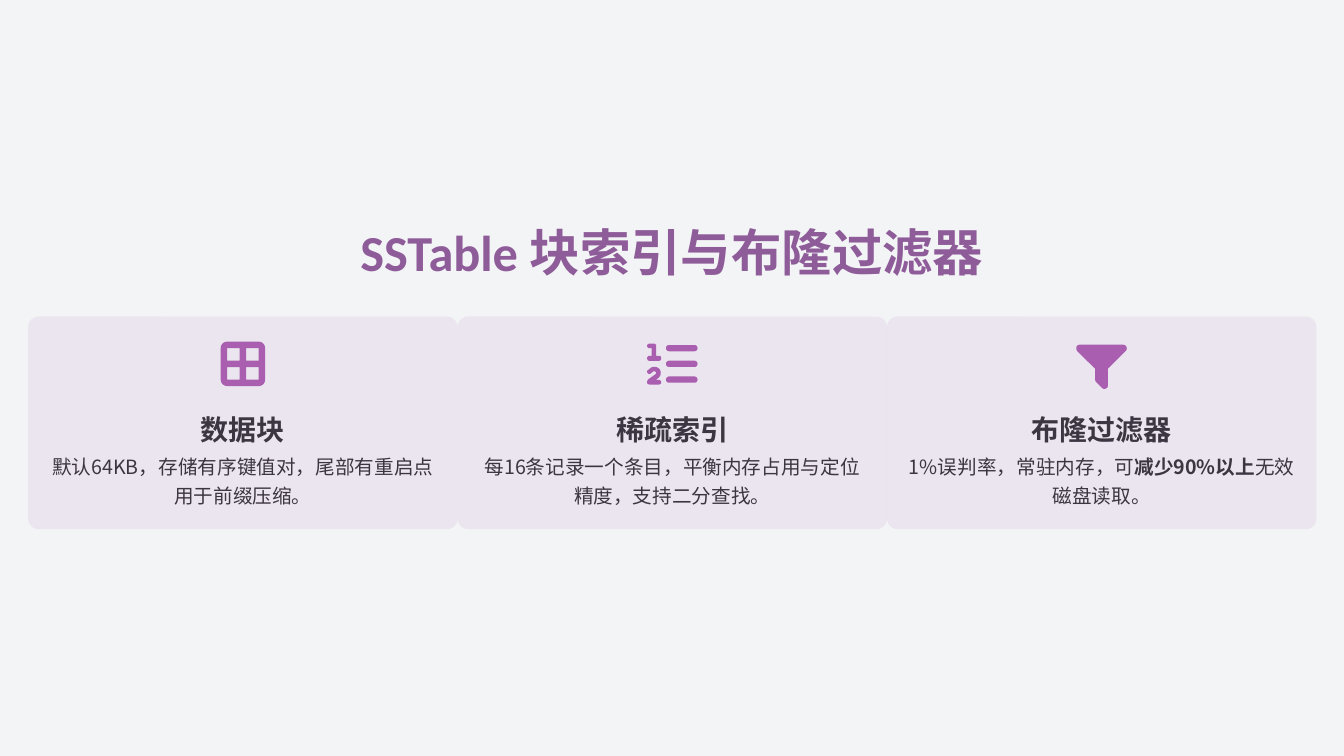
from pptx import Presentation
from pptx.dml.color import RGBColor as Rgb
from pptx.enum.shapes import MSO_SHAPE as Kind
from pptx.enum.text import MSO_ANCHOR as Anchor, PP_ALIGN as Align
from pptx.oxml.ns import qn
from pptx.util import Pt
from lxml.etree import SubElement as Sub

INK = {"back": "F3F4F6", "title": "8F5C9A", "card": "D3B9D7",
       "icon": "A95EAF", "text": "3C3542"}
SANS = "Noto Sans CJK SC"
LEFT, TOP, WIDE, HIGH = 20.16, 226.08, 306.72, 151.92
UNIT = 0.72


def bend(a, b, c, d, steps=8):
    for n in range(1, steps + 1):
        t = n / steps
        s = 1 - t
        yield tuple(s**3 * p + 3 * s * s * t * q + 3 * s * t * t * r + t**3 * e
                    for p, q, r, e in zip(a, b, c, d))


def trace(*steps):
    dots = []
    for step in steps:
        if len(step) == 2:
            dots.append(step)
        else:
            dots += bend(dots[-1], step[:2], step[2:4], step[4:])
    return dots


def pill(x, y, w, h, r):
    k = r * 0.45
    e, f = x + w, y + h
    return trace((x + r, y), (e - r, y), (e - k, y, e, y + k, e, y + r),
                 (e, f - r), (e, f - k, e - k, f, e - r, f),
                 (x + r, f), (x + k, f, x, f - k, x, f - r),
                 (x, y + r), (x, y + k, x + k, y, x + r, y))


def hole(x, y, size):
    return [(x, y), (x, y + size), (x + size, y + size), (x + size, y)]


ONE = trace((0, 7), (0, 6, 1, 5, 2, 5), (7, 5), (8, 5, 9, 6, 9, 7), (9, 17),
            (11.5, 17), (13, 17, 14, 18, 14, 19.5), (14, 21, 13, 22, 11.5, 22),
            (2.5, 22), (1, 22, 0, 21, 0, 19.5), (0, 18, 1, 17, 2.5, 17),
            (4.5, 17), (4.5, 9.5), (2.5, 9.5), (1, 9.5, 0, 8.5, 0, 7))
TWO = trace((3, 29.5), (4, 28.5, 5.5, 28, 6.5, 28), (7.5, 28),
            (11, 28, 13.5, 30.5, 13.5, 34), (13.5, 36, 12.5, 38, 10.5, 39.5),
            (8.5, 41), (11.5, 41), (13, 41, 14, 42, 14, 43),
            (14, 44.5, 13, 45.5, 11.5, 45.5), (2.5, 45.5),
            (1, 45.5, 0, 44.5, 0, 43.5), (0, 42, 0.5, 41, 1, 40.5), (8, 35.5),
            (8.5, 35, 9, 34.5, 9, 34), (9, 33, 8, 32.5, 7.5, 32.5),
            (6.5, 32.5), (6, 32.5, 5.5, 32.5, 5.5, 33), (3.5, 34.5),
            (2.5, 35.5, 1, 35, 0.5, 34), (-0.5, 33, 0, 31.5, 1, 31))
CONE = trace((3, 6), (1.5, 6, 0.5, 7, 0, 8), (-0.5, 9.5, 0, 11, 0.5, 12),
             (18.5, 30), (18.5, 41), (18.5, 41.5, 19, 42.5, 19.5, 43),
             (25.5, 49), (26.5, 50, 28, 50, 29, 49.5),
             (30.5, 49, 31, 48, 31, 47), (31, 30), (49, 12),
             (50, 11, 50, 9.5, 49.5, 8), (49, 7, 48, 6, 46.5, 6))
GRID = [pill(3, 3, 44, 44, 6.3)]
GRID += [hole(x, y, 12.5) for x in (9.3, 28.2) for y in (9.3, 28.2)]
LIST = [ONE, TWO] + [pill(18.7, y, 31.3, 6.2, 3.1) for y in (6.3, 21.9, 37.5)]

CARDS = [
    (GRID, "数据块", [("默认64KB，存储有序键值对，尾部有重启点用于前缀压缩。", False)]),
    (LIST, "稀疏索引", [("每16条记录一个条目，平衡内存占用与定位精度，支持二分查找。", False)]),
    ([CONE], "布隆过滤器", [("1%误判率，常驻内存，可", False), ("减少90%以上", True),
                       ("无效磁盘读取。", False)]),
]


class Deck:
    def __init__(self, ink):
        self.ink = ink
        self.show = Presentation()
        self.show.slide_width, self.show.slide_height = Pt(960), Pt(540)
        self.slide = self.show.slides.add_slide(self.show.slide_layouts[6])
        self.paint(self.slide.background.fill, "back")

    def paint(self, fill, name):
        fill.solid()
        fill.fore_color.rgb = Rgb.from_string(self.ink[name])

    def plain(self, shape, name):
        self.paint(shape.fill, name)
        shape.line.fill.background()
        shape.shadow.inherit = False

    def text(self, x, y, w, h, runs, size, name, space):
        box = self.slide.shapes.add_textbox(Pt(x), Pt(y), Pt(w), Pt(h))
        frame = box.text_frame
        frame.word_wrap = True
        frame.vertical_anchor = Anchor.MIDDLE
        frame.margin_left = frame.margin_right = 0
        frame.margin_top = frame.margin_bottom = 0
        para = frame.paragraphs[0]
        para.alignment, para.line_spacing = Align.CENTER, space
        for words, bold, face in runs:
            run = para.add_run()
            run.text = words
            font = run.font
            font.size, font.bold, font.name = Pt(size), bold, face
            font.color.rgb = Rgb.from_string(self.ink[name])
            Sub(run._r.get_or_add_rPr(), qn("a:ea")).set("typeface", face)

    def card(self, x, y, w, h):
        shape = self.slide.shapes.add_shape(
            Kind.ROUNDED_RECTANGLE, Pt(x), Pt(y), Pt(w), Pt(h))
        shape.adjustments[0] = 0.05
        self.plain(shape, "card")
        tint = shape._element.spPr.find(".//" + qn("a:srgbClr"))
        Sub(tint, qn("a:alpha")).set("val", "25000")

    def icon(self, x, y, loops):
        pen = None
        for loop in loops:
            dots = [(Pt(x + a * UNIT), Pt(y + b * UNIT)) for a, b in loop]
            if pen is None:
                pen = self.slide.shapes.build_freeform(*dots[0])
            else:
                pen.move_to(*dots[0])
            pen.add_line_segments(dots[1:], close=True)
        self.plain(pen.convert_to_shape(), "icon")


def main():
    deck = Deck(INK)
    deck.text(10.8, 162, 938.16, 40.32,
              [("SSTable ", True, "Calibri"), ("块索引与布隆过滤器", True, SANS)],
              36, "title", 0.9)
    for n, (loops, head, body) in enumerate(CARDS):
        x = LEFT + n * WIDE
        deck.card(x, TOP, WIDE, HIGH)
        deck.icon(x + WIDE / 2 - 25 * UNIT, 241.92, loops)
        deck.text(x + 10.8, 290.16, 285.12, 28.08, [(head, True, SANS)],
                  20, "text", 1.2)
        deck.text(x + 12.24, 321.84, 282.24, 40.32,
                  [(words, bold, SANS) for words, bold in body],
                  14, "text", 1.2)
    deck.show.save("out.pptx")


if __name__ == "__main__":
    main()
